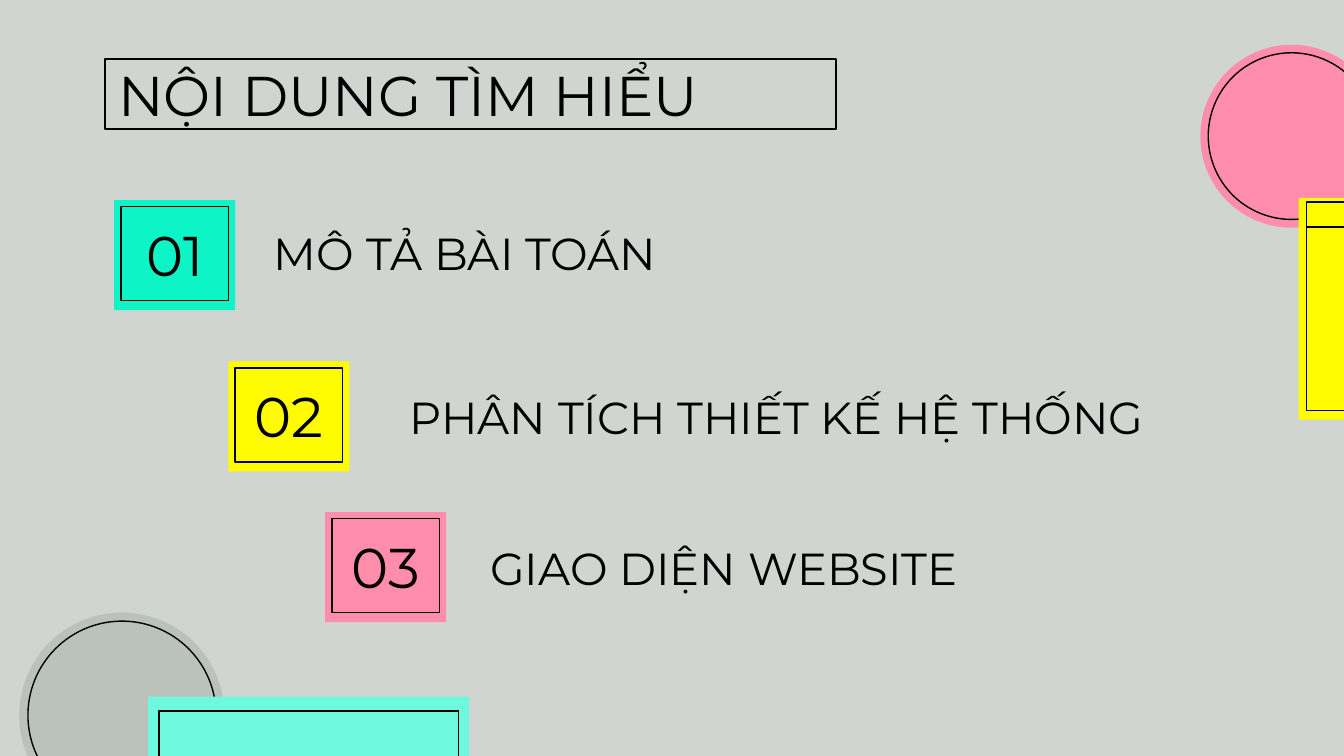
from dataclasses import dataclass

from lxml.etree import SubElement
from pptx import Presentation
from pptx.dml.color import RGBColor
from pptx.enum.shapes import MSO_CONNECTOR as Connector, MSO_SHAPE as Preset
from pptx.enum.text import MSO_ANCHOR as Anchor, MSO_AUTO_SIZE as AutoSize, PP_ALIGN as Align
from pptx.oxml.ns import qn
from pptx.util import Pt

COLORS = {
    "background": "D1D5D1",
    "ink": "000000",
    "pink": "FF8DAB",
    "yellow": "FFFB00",
    "teal": "0DF4C7",
    "grey": "BBC1BB",
    "mint": "6EF8DD",
}
FONT = "Montserrat"
LINE_WIDTH = 0.75
TILE_WIDTH, TILE_HEIGHT = 64.8, 59
FRAME_INSET, FRAME_WIDTH, FRAME_HEIGHT = 3.6, 57.6, 50.4


@dataclass(frozen=True)
class Box:
    left: float
    top: float
    width: float
    height: float

    def lengths(self) -> tuple:
        return Pt(self.left), Pt(self.top), Pt(self.width), Pt(self.height)


@dataclass(frozen=True)
class Decoration:
    """A filled shape with an outlined one inside it."""
    preset: Preset
    color: str
    outer: Box
    inner: Box


@dataclass(frozen=True)
class Topic:
    label: str
    color: str
    left: float
    top: float
    label_left: float
    label_top: float
    label_width: float


PINK_CIRCLE = Decoration(Preset.OVAL, "pink", Box(643, 24, 98, 98), Box(647.3, 28.3, 89.3, 89.3))
YELLOW_SQUARE = Decoration(Preset.RECTANGLE, "yellow", Box(695.7, 106, 118.8, 118.8),
                           Box(700, 108.2, 111, 111.6))
GREY_CIRCLE = Decoration(Preset.OVAL, "grey", Box(10.3, 328.2, 110, 110), Box(15, 332.8, 100.8, 100.8))
MINT_SQUARE = Decoration(Preset.RECTANGLE, "mint", Box(79.4, 373.3, 172, 172),
                         Box(85.2, 380.8, 160.6, 161.2))

TOPICS = [
    Topic("MÔ TẢ BÀI TOÁN", "teal", 61.2, 107.2, 139.7, 105.8, 442),
    Topic("PHÂN TÍCH THIẾT KẾ HỆ THỐNG", "yellow", 122.4, 193.6, 212.4, 193.6, 467.3),
    Topic("GIAO DIỆN WEBSITE", "pink", 174.2, 274.3, 255.6, 274.3, 326.2),
]


def rgb(name: str) -> RGBColor:
    return RGBColor.from_string(COLORS[name])


def outline(item) -> None:
    item.line.color.rgb = rgb("ink")
    item.line.width = Pt(LINE_WIDTH)


def add_shape(page, preset: Preset, box: Box, fill: str | None = None, lined: bool = False):
    shape = page.shapes.add_shape(preset, *box.lengths())
    shape.shadow.inherit = False
    if fill:
        shape.fill.solid()
        shape.fill.fore_color.rgb = rgb(fill)
    else:
        shape.fill.background()
    if lined:
        outline(shape)
    else:
        shape.line.fill.background()
    return shape


def add_decoration(page, item: Decoration) -> None:
    add_shape(page, item.preset, item.outer, fill=item.color)
    add_shape(page, item.preset, item.inner, lined=True)


def add_rule(page, left: float, right: float, top: float) -> None:
    rule = page.shapes.add_connector(Connector.STRAIGHT, Pt(left), Pt(top), Pt(right), Pt(top))
    outline(rule)
    SubElement(rule._element.spPr, qn("a:effectLst"))


def write(shape, text: str, *, size: float, align: Align = Align.LEFT) -> None:
    frame = shape.text_frame
    frame.word_wrap = True
    frame.auto_size = AutoSize.NONE
    frame.vertical_anchor = Anchor.MIDDLE
    frame.margin_left = frame.margin_right = Pt(7.2)
    frame.margin_top = frame.margin_bottom = Pt(7.2)
    para = frame.paragraphs[0]
    para.alignment = align
    para.line_spacing = 1.0
    para.space_before = Pt(0)
    span = para.add_run()
    span.text = text
    span.font.name = FONT
    span.font.size = Pt(size)
    span.font.color.rgb = rgb("ink")


def add_title(page, text: str, box: Box) -> None:
    title = page.shapes.title
    title.left, title.top, title.width, title.height = box.lengths()
    outline(title)
    write(title, text, size=30)


def add_topic(page, number: int, topic: Topic) -> None:
    add_shape(page, Preset.RECTANGLE, Box(topic.left, topic.top, TILE_WIDTH, TILE_HEIGHT),
              fill=topic.color)
    frame = add_shape(page, Preset.RECTANGLE,
                      Box(topic.left + FRAME_INSET, topic.top + FRAME_INSET,
                          FRAME_WIDTH, FRAME_HEIGHT), lined=True)
    write(frame, f"{number:02d}", size=30, align=Align.CENTER)
    label_box = Box(topic.label_left, topic.label_top, topic.label_width, TILE_HEIGHT)
    label = page.shapes.add_textbox(*label_box.lengths())
    write(label, topic.label, size=24)


def main() -> None:
    deck = Presentation()
    deck.slide_width, deck.slide_height = Pt(720), Pt(405)
    page = deck.slides.add_slide(deck.slide_layouts[5])
    page.background.fill.solid()
    page.background.fill.fore_color.rgb = rgb("background")

    add_title(page, "NỘI DUNG TÌM HIỂU", Box(56.2, 31.7, 391.6, 37.5))
    add_decoration(page, PINK_CIRCLE)
    add_decoration(page, YELLOW_SQUARE)
    header = YELLOW_SQUARE.inner
    add_rule(page, header.left, header.left + header.width, 121.7)
    for number, topic in enumerate(TOPICS, start=1):
        add_topic(page, number, topic)
    add_decoration(page, GREY_CIRCLE)
    add_decoration(page, MINT_SQUARE)

    deck.save("out.pptx")


if __name__ == "__main__":
    main()
